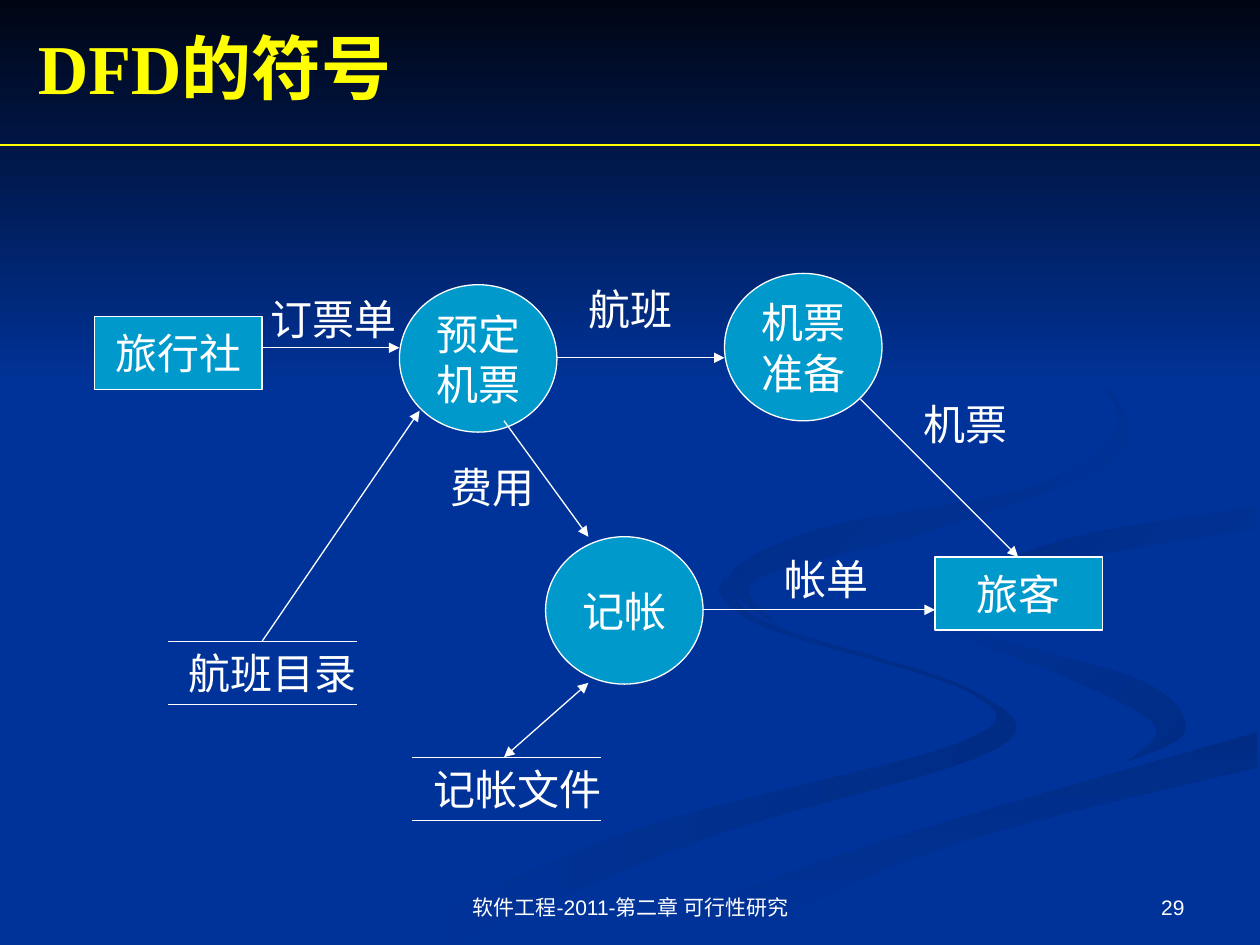
from dataclasses import dataclass

from lxml import etree
from pptx import Presentation
from pptx.dml.color import RGBColor
from pptx.enum.shapes import MSO_CONNECTOR, MSO_SHAPE
from pptx.enum.text import MSO_ANCHOR, MSO_AUTO_SIZE, PP_ALIGN
from pptx.oxml.ns import qn
from pptx.util import Inches, Pt

RECT, OVAL = MSO_SHAPE.RECTANGLE, MSO_SHAPE.OVAL
LEFT, CENTER, RIGHT = PP_ALIGN.LEFT, PP_ALIGN.CENTER, PP_ALIGN.RIGHT
TOP, MIDDLE, BOTTOM = MSO_ANCHOR.TOP, MSO_ANCHOR.MIDDLE, MSO_ANCHOR.BOTTOM


@dataclass(frozen=True)
class Theme:
    ground: str = "003399"
    sky: str = "000514"
    shade: str = "002C85"
    node: str = "0099CC"
    ink: str = "FFFFFF"
    title: str = "FFFF00"
    serif: str = "Times New Roman"
    sans: str = "Arial"
    title_size: int = 40
    body_size: int = 24
    footer_size: int = 12
    line_width: float = 0.75


T = Theme()

# Each ribbon: first colour, last colour, clockwise angle, and its two edges
RIBBONS = [
    (T.shade, T.ground, 180,
     [(5.75, 4.59), (6.1, 4.95), (7.7, 5.47), (7.9, 5.95), (5.6, 6.65), (3.6, 7.49)],
     [(3, 7.49), (5, 6.6), (7.6, 5.9), (7.7, 5.5), (6.1, 4.99), (5.7, 4.7)]),
    (T.shade, T.ground, 225,
     [(7.24, 4.64), (7.6, 4.98), (9.05, 5.4), (9.41, 5.8), (8.94, 6.05)],
     [(8.94, 6.05), (9.17, 5.76), (8.5, 5.39), (7.4, 4.94), (7.24, 4.64)]),
    (T.shade, T.ground, 90,
     [(5.03, 7.49), (6.6, 6.81), (9.98, 5.81)],
     [(9.98, 6.09), (7.5, 6.72), (5.71, 7.49)]),
    (T.ground, T.shade, 225,
     [(8.26, 4.96), (7.82, 4.6), (8.5, 4.27), (9.98, 4.02)],
     [(9.98, 4.2), (8.6, 4.43), (8.05, 4.72), (8.26, 4.96)]),
    (T.ground, T.shade, 225,
     [(7.62, 2.33), (8.6, 2.88), (8.9, 3.6), (7.4, 4.21), (6, 4.6), (6.22, 5)],
     [(6.22, 5), (5.78, 4.6), (6.5, 4.2), (8.3, 3.82), (8.85, 3.2), (7.62, 2.33)]),
]


def rgb(value):
    return RGBColor.from_string(value)


def format_text(shape, text, size, font, color=T.ink, align=LEFT, anchor=TOP,
                wrap=False, bold=False):
    tf = shape.text_frame
    tf.text = text
    tf.word_wrap = wrap
    tf.auto_size = MSO_AUTO_SIZE.NONE
    tf.vertical_anchor = anchor
    for p in tf.paragraphs:
        p.alignment = align
        p.font.size, p.font.name, p.font.bold = Pt(size), font, bold
        p.font.color.rgb = rgb(color)


def add_text(s, x, y, w, h, text, size=T.body_size, font=T.serif, **style):
    box = s.shapes.add_textbox(Inches(x), Inches(y), Inches(w), Inches(h))
    format_text(box, text, size, font, **style)


def add_line(s, start, end, color=T.ink, heads=()):
    """Draw a straight line; heads names its arrow ends, headEnd before tailEnd."""
    line = s.shapes.add_connector(MSO_CONNECTOR.STRAIGHT,
                                  *(Inches(v) for v in (*start, *end)))
    line.line.color.rgb = rgb(color)
    line.line.width = Pt(T.line_width)
    for head in heads:
        etree.SubElement(line.line._get_or_add_ln(), qn(f"a:{head}"), type="triangle")
    etree.SubElement(line._element.spPr, qn("a:effectLst"))


def fill_gradient(shape, first, last, angle):
    shape.shadow.inherit = False
    shape.line.fill.background()
    shape.fill.gradient()
    shape.fill.gradient_angle = (360 - angle) % 360
    for stop, color in zip(shape.fill.gradient_stops, (first, last)):
        stop.color.rgb = rgb(color)


def smooth(points, steps=8):
    """Return points along a Catmull-Rom curve through the given ones."""
    ends = [points[0], *points, points[-1]]
    curve = [points[0]]
    for quad in zip(ends, ends[1:], ends[2:], ends[3:]):
        for i in range(1, steps + 1):
            t = i / steps
            curve.append(tuple(
                b + t * (c - a + t * (2 * a - 5 * b + 4 * c - d
                                      + t * (3 * (b - c) + d - a))) / 2
                for a, b, c, d in zip(*quad)))
    return curve


def backdrop(s, w, sky_height):
    s.background.fill.solid()
    s.background.fill.fore_color.rgb = rgb(T.ground)
    for first, last, angle, *edges in RIBBONS:
        outline = [(Inches(x), Inches(y)) for edge in edges for x, y in smooth(edge)]
        builder = s.shapes.build_freeform(*outline[0])
        builder.add_line_segments(outline[1:], close=True)
        fill_gradient(builder.convert_to_shape(), first, last, angle)
    sky = s.shapes.add_shape(RECT, 0, 0, Inches(w), Inches(sky_height))
    fill_gradient(sky, T.sky, T.ground, 90)


def heading(s, x, y, w, h, text):
    title = s.shapes.title
    title.left, title.top, title.width, title.height = map(Inches, (x, y, w, h))
    format_text(title, text, T.title_size, T.serif, T.title, anchor=MIDDLE,
                wrap=True, bold=True)
    s.shapes._spTree.append(title._element)  # bring in front of the backdrop
    add_line(s, (0, 1.15), (10, 1.15), T.title)


def add_node(s, kind, x, y, w, h, text):
    node = s.shapes.add_shape(kind, Inches(x), Inches(y), Inches(w), Inches(h))
    node.shadow.inherit = False
    node.fill.solid()
    node.fill.fore_color.rgb = rgb(T.node)
    node.line.color.rgb = rgb(T.ink)
    node.line.width = Pt(T.line_width)
    format_text(node, text, T.body_size, T.serif, align=CENTER, anchor=MIDDLE)


def data_store(s, x, y, text, w=1.5, h=0.5):
    for edge in (y, y + h):
        add_line(s, (x, edge), (x + w, edge))
    add_text(s, x + 0.07, y, w + 0.03, h, text)


def flow_diagram(s, x, y):
    for dx, dy, text in [(0, 0.34, "旅行社"), (6.67, 2.25, "旅客")]:
        add_node(s, RECT, x + dx, y + dy, 1.33, 0.58, text)
    for dx, dy, text in [(2.42, 0.09, "预定\n机票"), (5, 0, "机票\n准备"), (3.58, 2.09, "记帐")]:
        add_node(s, OVAL, x + dx, y + dy, 1.25, 1.17, text)
    for dx, dy, text in [(0.58, 2.92, "航班目录"), (2.52, 3.84, "记帐文件")]:
        data_store(s, x + dx, y + dy, text)
    one_way, two_way = ("tailEnd",), ("headEnd", "tailEnd")
    for x1, y1, x2, y2, heads in [
        (1.33, 0.59, 2.42, 0.59, one_way),
        (3.67, 0.67, 5, 0.67, one_way),
        (6.08, 1, 7.33, 2.25, one_way),
        (3.25, 1.17, 3.92, 2.09, one_way),
        (1.33, 2.92, 2.58, 1.09, one_way),
        (3.25, 3.84, 3.92, 3.25, two_way),
        (4.83, 2.67, 6.67, 2.67, one_way),
    ]:
        add_line(s, (x + x1, y + y1), (x + x2, y + y2), heads=heads)
    for dx, dy, text in [(1.3, 0.11, "订票单"), (3.82, 0.03, "航班"), (2.73, 1.44, "费用"),
                         (5.38, 2.17, "帐单"), (6.48, 0.94, "机票")]:
        add_text(s, x + dx, y + dy, 0.2 + len(text) / 3, 0.5, text)


def footer(s, y, h):
    for x, w, text, align in [(3.42, 3.17, "软件工程-2011-第二章 可行性研究", CENTER),
                              (7.17, 2.33, "29", RIGHT)]:
        add_text(s, x, y, w, h, text, T.footer_size, T.sans, align=align,
                 anchor=BOTTOM, wrap=True)


def main():
    prs = Presentation()
    prs.slide_width, prs.slide_height = Inches(10), Inches(7.5)
    s = prs.slides.add_slide(prs.slide_layouts.get_by_name("Title Only"))
    backdrop(s, 10, 3.08)
    flow_diagram(s, 0.75, 2.17)
    heading(s, 0.2, 0.14, 9, 0.77, "DFD的符号")
    footer(s, 6.83, 0.52)
    prs.save("out.pptx")


if __name__ == "__main__":
    main()
